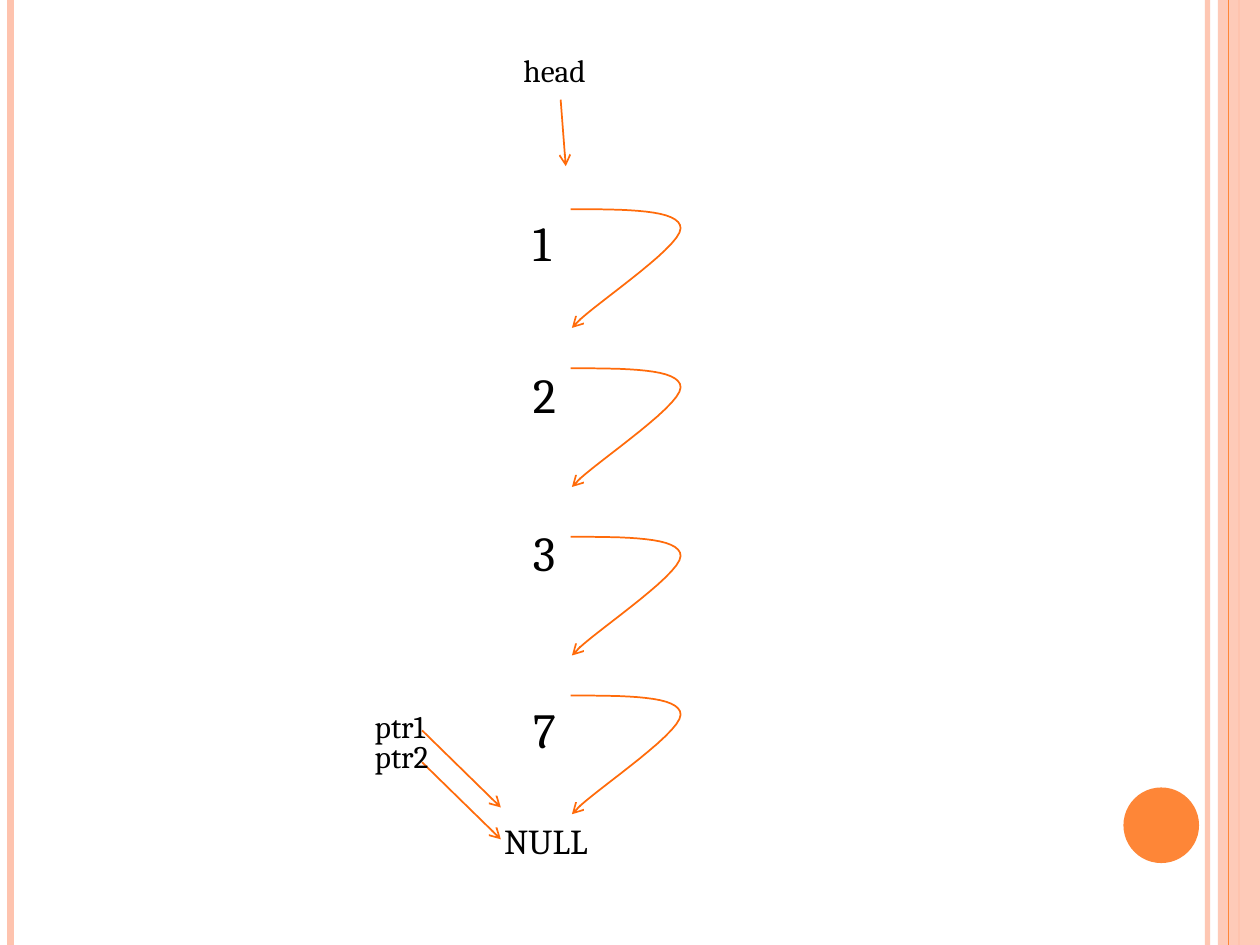
from lxml.etree import SubElement
from pptx import Presentation
from pptx.dml.color import RGBColor
from pptx.enum.shapes import MSO_CONNECTOR as CONN, MSO_SHAPE as SHAPE
from pptx.oxml.ns import qn
from pptx.util import Pt

WIDTH, HEIGHT = 720, 540
PINK = RGBColor(0xFE, 0xC3, 0xAE)
ORANGE = RGBColor(0xFE, 0x86, 0x37)
ARROW = RGBColor(0xFF, 0x6B, 0x0A)
BLACK = RGBColor(0, 0, 0)
CURVE = (
    ((0, 0), (31.2, 0), (62.9, 0), (62.9, 10.9)),
    ((62.9, 10.9), (62.9, 22.5), (6.6, 58.9), (0.8, 67.8)),
)
CURVE_STEPS = 16


def bezier(points, t):
    weights = ((1 - t) ** 3, 3 * t * (1 - t) ** 2, 3 * t * t * (1 - t), t ** 3)
    return tuple(sum(w * p[axis] for w, p in zip(weights, points)) for axis in (0, 1))


def set_alpha(parent, percent):
    color = next(parent.iter(qn("a:srgbClr")))
    SubElement(color, qn("a:alpha")).set("val", str(percent * 1000))


def add_text(tf, text, size=18, font="Cambria", color=BLACK):
    p = tf.paragraphs[0]
    r = p.add_run()
    r.text = text
    r.font.size = Pt(size)
    r.font.name = font
    r.font.color.rgb = color


class Diagram:
    def __init__(self, slide):
        self.s = slide

    def style_line(self, shape, color, width, arrow=False, alpha=None):
        shape.line.color.rgb = color
        shape.line.width = Pt(width)
        ln = shape.line._get_or_add_ln()
        if alpha:
            set_alpha(ln, alpha)
        if arrow:
            SubElement(ln, qn("a:tailEnd")).set("type", "arrow")

    def line(self, x1, y1, x2, y2, color=ARROW, width=1, **kwargs):
        c = self.s.shapes.add_connector(CONN.STRAIGHT, Pt(x1), Pt(y1), Pt(x2), Pt(y2))
        self.style_line(c, color, width, **kwargs)
        SubElement(c._element.spPr, qn("a:effectLst"))

    def shape(self, kind, x, y, w, h, color, alpha=None):
        sp = self.s.shapes.add_shape(kind, Pt(x), Pt(y), Pt(w), Pt(h))
        sp.shadow.inherit = False
        sp.fill.solid()
        sp.fill.fore_color.rgb = color
        if alpha:
            set_alpha(sp._element.spPr, alpha)
        sp.line.fill.background()

    def text(self, x, y, w, h, text, **fmt):
        box = self.s.shapes.add_textbox(Pt(x), Pt(y), Pt(w), Pt(h))
        box.text_frame.word_wrap = True
        add_text(box.text_frame, text, **fmt)

    def curved_arrow(self, x, y):
        points = [
            bezier(segment, step / CURVE_STEPS)
            for segment in CURVE
            for step in range(1, CURVE_STEPS + 1)
        ]
        fb = self.s.shapes.build_freeform(Pt(x), Pt(y))
        fb.add_line_segments([(Pt(x + dx), Pt(y + dy)) for dx, dy in points], close=False)
        sp = fb.convert_to_shape()
        sp.shadow.inherit = False
        sp.fill.background()
        self.style_line(sp, ARROW, 1, arrow=True)


def main():
    prs = Presentation()
    prs.slide_width, prs.slide_height = Pt(WIDTH), Pt(HEIGHT)
    d = Diagram(prs.slides.add_slide(prs.slide_layouts[6]))

    d.line(690, 0, 690, HEIGHT, PINK, 3, alpha=93)
    d.line(6, 0, 6, HEIGHT, PINK, 4.5)
    d.line(708, 0, 708, HEIGHT, PINK, 1.5)
    d.shape(SHAPE.RECTANGLE, 696, 0, 24, HEIGHT, PINK, alpha=87)
    d.line(702, 0, 702, HEIGHT, ORANGE, 0.75)
    d.shape(SHAPE.OVAL, 642, 450, 43.2, 43.2, ORANGE)

    d.text(292, 25.5, 56, 29, "head")
    d.line(320.4, 57, 323.3, 95, arrow=True)

    nodes = (("1", 118, 119.6), ("2", 204.5, 210.5), ("3", 295, 306.8), ("7", 396, 397.5))
    for value, top, link_top in nodes:
        d.text(297.5, top, 22, 41, value, size=28)
        d.curved_arrow(326, link_top)
    d.text(281, 465, 96, 32, "NULL", size=20)

    for name, top, arrow_top in (("ptr1", 400.3, 417.4), ("ptr2", 417.6, 435.6)):
        d.line(241.2, arrow_top, 286.2, arrow_top + 44, arrow=True)
        d.text(207, top, 50.5, 29, name)

    prs.save("out.pptx")


if __name__ == "__main__":
    main()
